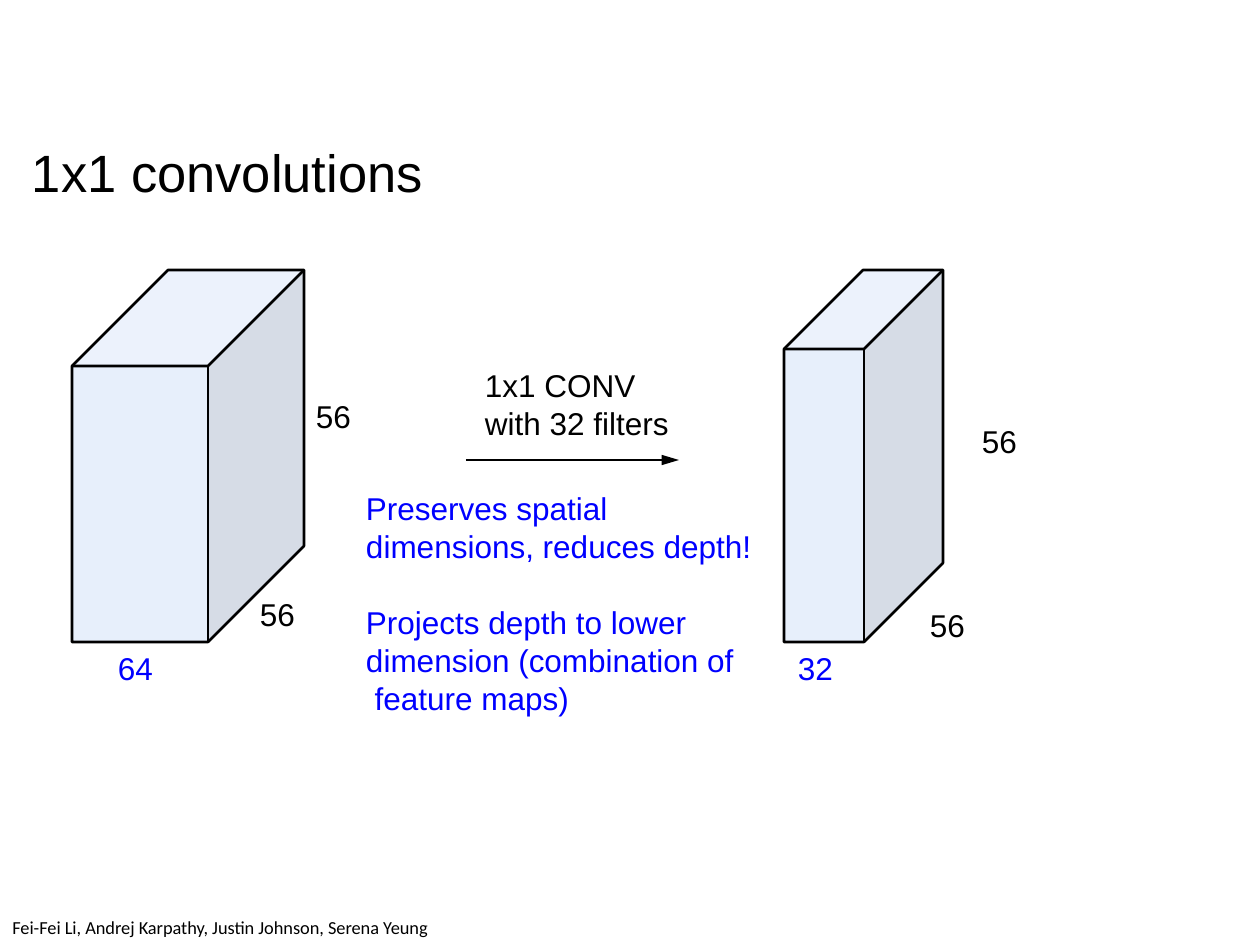
from dataclasses import dataclass

from lxml.etree import SubElement
from pptx import Presentation
from pptx.dml.color import RGBColor
from pptx.enum.shapes import MSO_CONNECTOR
from pptx.enum.text import MSO_ANCHOR, MSO_AUTO_SIZE, PP_ALIGN
from pptx.oxml.ns import qn
from pptx.util import Emu, Pt

EMU_PER_PX = 914400 / 126


@dataclass(frozen=True)
class Theme:
    font: str = "Arial"
    credit_font: str = "Calibri"
    title_size: float = 30
    body_size: float = 18
    credit_size: float = 10.5
    ink: str = "000000"
    accent: str = "0000FF"
    front: str = "C8DAF7"
    side: str = "A0AEC6"
    top: str = "D3E1F9"
    face_alpha: int = 43
    edge: float = 1.5
    arrow: float = 0.75


THEME = Theme()


def px(n):
    return Emu(round(n * EMU_PER_PX))


def rgb(value):
    return RGBColor.from_string(value)


def place(sp, x, y, w, h):
    sp.left, sp.top, sp.width, sp.height = px(x), px(y), px(w), px(h)


def style_text(tf, size, color=THEME.ink, font=THEME.font):
    for p in tf.paragraphs:
        p.alignment = PP_ALIGN.LEFT
        for r in p.runs:
            r.font.name = font
            r.font.size = Pt(size)
            r.font.color.rgb = rgb(color)


def fit_frame(tf):
    tf.margin_left = tf.margin_right = tf.margin_bottom = 0
    tf.margin_top = px(3)
    tf.word_wrap = True
    tf.vertical_anchor = MSO_ANCHOR.TOP
    tf.auto_size = MSO_AUTO_SIZE.SHAPE_TO_FIT_TEXT


def add_title(s, text, x, y, w, h):
    sp = s.shapes.title
    place(sp, x, y, w, h)
    tf = sp.text_frame
    tf.text = text
    fit_frame(tf)
    style_text(tf, THEME.title_size)


def add_label(s, text, x, y, w=39, h=42, color=THEME.ink):
    tf = s.shapes.add_textbox(px(x), px(y), px(w), px(h)).text_frame
    tf.text = text
    fit_frame(tf)
    style_text(tf, THEME.body_size, color)


def add_credit(s, text, x, y, w, h):
    tf = s.shapes.add_textbox(px(x), px(y), px(w), px(h)).text_frame
    tf.text = text
    tf.word_wrap = False
    tf.auto_size = MSO_AUTO_SIZE.SHAPE_TO_FIT_TEXT
    style_text(tf, THEME.credit_size, font=THEME.credit_font)


def add_path(s, points, close=True):
    builder = s.shapes.build_freeform(*points[0], scale=EMU_PER_PX)
    builder.add_line_segments(points[1:], close=close)
    sp = builder.convert_to_shape()
    sp.shadow.inherit = False
    return sp


def add_face(s, points, color):
    sp = add_path(s, points)
    sp.fill.solid()
    sp.fill.fore_color.rgb = rgb(color)
    clr = sp.fill._xPr.find(qn("a:solidFill"))[0]
    SubElement(clr, qn("a:alpha"), val=str(THEME.face_alpha * 1000))
    sp.line.fill.background()


def add_outline(s, points, close):
    sp = add_path(s, points, close)
    sp.fill.background()
    sp.line.color.rgb = rgb(THEME.ink)
    sp.line.width = Pt(THEME.edge)


def add_line(s, start, end, width):
    cn = s.shapes.add_connector(
        MSO_CONNECTOR.STRAIGHT, *map(px, start), *map(px, end))
    cn.line.color.rgb = rgb(THEME.ink)
    cn.line.width = Pt(width)
    SubElement(cn._element.spPr, qn("a:effectLst"))
    return cn


def add_arrow(s, start, end):
    cn = add_line(s, start, end, THEME.arrow)
    SubElement(cn.line._get_or_add_ln(), qn("a:tailEnd"),
               type="triangle", w="med", len="lg")


def add_volume(s, x, y, w, h, depth):
    front_tl, front_tr = (x, y), (x + w, y)
    front_bl, front_br = (x, y + h), (x + w, y + h)
    back_tl, back_tr = (x + depth, y - depth), (x + w + depth, y - depth)
    back_br = (x + w + depth, y + h - depth)
    add_face(s, [front_tl, front_tr, front_br, front_bl], THEME.front)
    add_face(s, [front_br, front_tr, back_tr, back_br], THEME.side)
    add_face(s, [front_tr, front_tl, back_tl, back_tr], THEME.top)
    add_outline(s, [front_tl, back_tl, back_tr, back_br, front_br, front_bl], True)
    add_outline(s, [front_tl, front_tr, back_tr], False)
    add_line(s, front_tr, front_br, THEME.edge)


def main():
    prs = Presentation()
    prs.slide_width, prs.slide_height = px(1260), px(945)
    s = prs.slides.add_slide(prs.slide_layouts[5])

    add_title(s, "1x1 convolutions", 32, 137, 651, 67)

    add_volume(s, 72, 366, 136, 276, 96)
    add_label(s, "64", 118, 646, color=THEME.accent)
    add_label(s, "56", 260, 592)
    add_label(s, "56", 316, 394)

    add_arrow(s, (466, 460), (679, 460))
    add_label(s, "1x1 CONV\nwith 32 filters", 485, 363, 190, 79)

    add_volume(s, 784, 349, 80, 293, 79)
    add_label(s, "32", 798, 646, color=THEME.accent)
    add_label(s, "56", 930, 603)
    add_label(s, "56", 982, 419)

    add_label(s, "Preserves spatial\vdimensions, reduces depth!",
              366, 486, 396, 76, THEME.accent)
    add_label(s, "Projects depth to lower\vdimension (combination of\v feature maps)",
              366, 600, 396, 117, THEME.accent)

    add_credit(s, "Fei-Fei Li, Andrej Karpathy, Justin Johnson, Serena Yeung",
               0, 910, 452, 35)
    prs.save("out.pptx")


if __name__ == "__main__":
    main()
